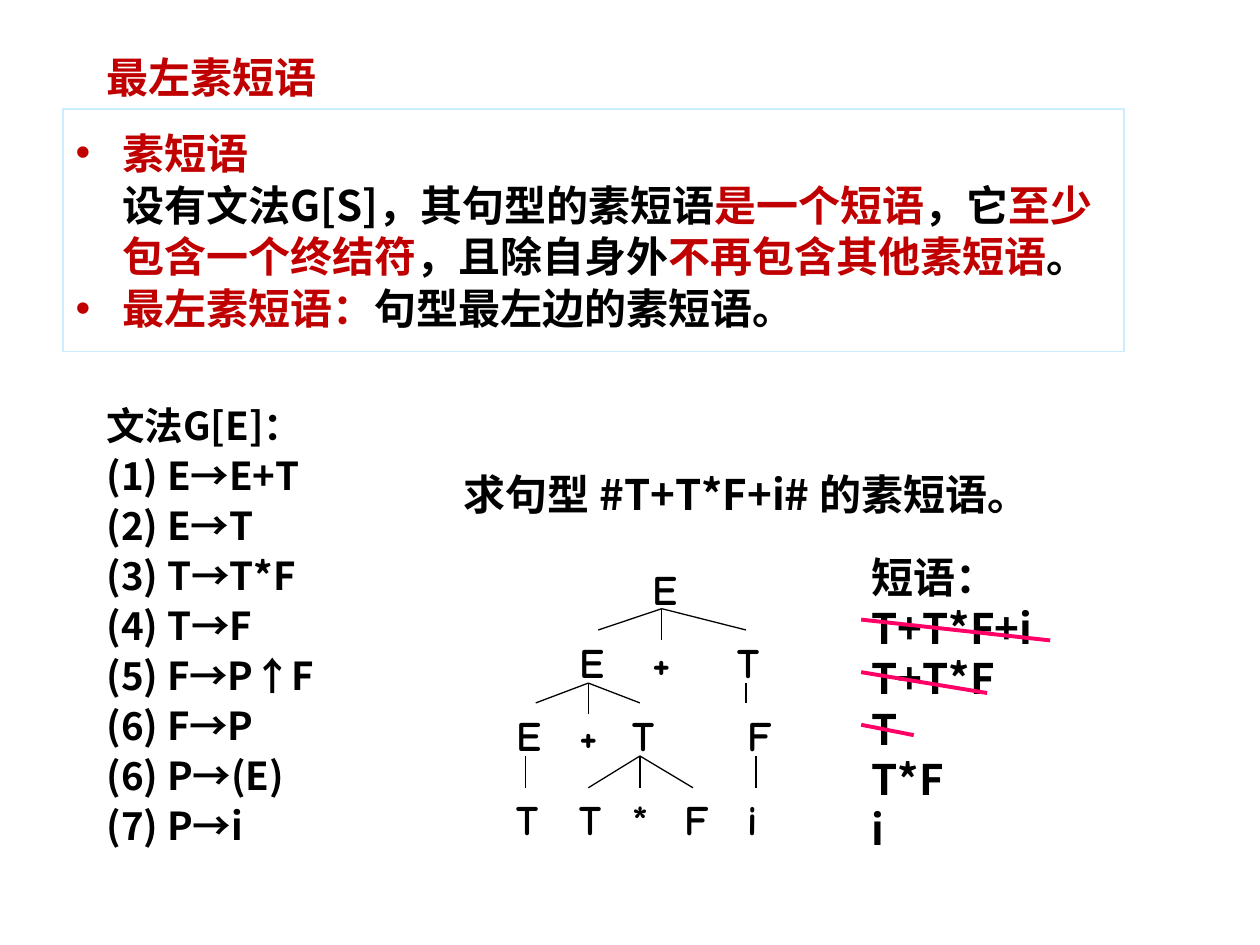
"""Build the slide on leftmost prime phrases."""
from lxml import etree
from pptx import Presentation
from pptx.dml.color import RGBColor
from pptx.enum.shapes import MSO_CONNECTOR
from pptx.enum.text import MSO_ANCHOR, MSO_AUTO_SIZE, PP_ALIGN
from pptx.oxml.ns import qn
from pptx.util import Cm, Pt

LINE = MSO_CONNECTOR.STRAIGHT
TOP, MIDDLE = MSO_ANCHOR.TOP, MSO_ANCHOR.MIDDLE
FIXED, LEFT = MSO_AUTO_SIZE.NONE, PP_ALIGN.LEFT
BLACK = RGBColor(0x00, 0x00, 0x00)
RED = RGBColor(0xC0, 0x00, 0x00)
PINK = RGBColor(0xFF, 0x00, 0x66)
PALE = RGBColor(0xCC, 0xEC, 0xFF)
SANS, SERIF, COMIC = "Noto Sans CJK SC", "Times New Roman", "Comic Neue"


def add_run(par, text, color=BLACK, size=24, face=SANS):
    run = par.add_run()
    run.text = text
    font = run.font
    font.size, font.bold, font.name = Pt(size), True, face
    font.color.rgb = color
    east = etree.SubElement(run._r.get_or_add_rPr(), qn("a:ea"))
    east.set("typeface", SANS)


def add_line(shapes, start, end, color, width):
    line = shapes.add_connector(LINE, *[Cm(n) for n in start + end])
    line.line.color.rgb = color
    line.line.width = Pt(width)
    etree.SubElement(line._element.spPr, qn("a:effectLst"))


deck = Presentation()
deck.slide_width, deck.slide_height = Cm(25.4), Cm(19.05)
slide = deck.slides.add_slide(deck.slide_layouts[1])
shapes = slide.shapes

title = shapes.title
title.left, title.top, title.width, title.height = Cm(1.9), Cm(0.92), Cm(9.31), Cm(1.27)
frame = title.text_frame
frame.auto_size, frame.vertical_anchor = FIXED, TOP
par = frame.paragraphs[0]
par.alignment = LEFT
add_run(par, "最左素短语", RED, face=SERIF)

body = slide.placeholders[1]
body.left, body.top, body.width, body.height = Cm(1.27), Cm(2.2), Cm(21.39), Cm(4.88)
body.line.color.rgb = PALE
body.line.width = Pt(0.75)
frame = body.text_frame
frame.auto_size, frame.vertical_anchor = FIXED, MIDDLE
points = [
    (True, [("素短语", RED)]),
    (False, [
        ("设有文法G[S]，其句型的素短语", BLACK),
        ("是一个短语", RED),
        ("，它", BLACK),
        ("至少包含一个终结符", RED),
        ("，且除自身外", BLACK),
        ("不再包含其他素短语", RED),
        ("。", BLACK),
    ]),
    (True, [("最左素短语：", RED), ("句型最左边的素短语。", BLACK)]),
]
for i, (dot, runs) in enumerate(points):
    par = frame.add_paragraph() if i else frame.paragraphs[0]
    par.space_before, par.line_spacing = Pt(1.2), Pt(28.8)
    props = par._p.get_or_add_pPr()
    props.set("marL", str(Cm(0.95)))
    props.set("indent", str(Cm(-0.95) if dot else 0))
    if not dot:
        etree.SubElement(props, qn("a:buNone"))
    for text, color in runs:
        add_run(par, text, color)

rules = ["文法G[E]：", "(1) E→E+T", "(2) E→T", "(3) T→T*F", "(4) T→F",
         "(5) F→P↑F", "(6) F→P", "(6) P→(E)", "(7) P→i"]
frame = shapes.add_textbox(Cm(1.9), Cm(7.98), Cm(8), Cm(9.37)).text_frame
frame.word_wrap = True
for i, rule in enumerate(rules):
    par = frame.add_paragraph() if i else frame.paragraphs[0]
    par.space_before, par.line_spacing = Pt(2.2), Pt(26.4)
    add_run(par, rule, size=22)

frame = shapes.add_textbox(Cm(9.1), Cm(9.32), Cm(14), Cm(1.27)).text_frame
frame.word_wrap = True
par = frame.paragraphs[0]
par.line_spacing = Pt(28.8)
add_run(par, "求句型 #T+T*F+i# 的素短语。")

tree = shapes.add_group_shape().shapes
levels = [
    (11.23, [("E", 12.9)]),
    (12.7, [("E", 11.43), ("+", 12.9), ("T", 14.61)]),
    (14.17, [("E", 10.16), ("+", 11.43), ("T", 12.5), ("F", 14.81)]),
    (15.88, [("T", 10.16), ("T", 11.43), ("*", 12.5), ("F", 13.54), ("i", 14.81)]),
]
for top, nodes in levels:
    for text, left in nodes:
        frame = tree.add_textbox(Cm(left), Cm(top), Cm(1.06), Cm(1.27)).text_frame
        frame.word_wrap = True
        add_run(frame.paragraphs[0], text, face=COMIC)

fans = [
    ((13.34, 12.27), [(12.06, 12.7), (13.34, 12.9), (15.04, 12.7)]),
    ((11.86, 13.77), [(10.8, 14.17), (11.86, 14.4), (12.9, 14.17)]),
    ((15.04, 13.77), [(15.04, 14.17)]),
    ((10.59, 15.24), [(10.59, 15.88)]),
    ((12.9, 15.24), [(11.86, 15.88), (12.9, 15.88), (13.97, 15.88)]),
    ((15.24, 15.24), [(15.24, 15.88)]),
]
for start, ends in fans:
    for end in ends:
        add_line(tree, start, end, BLACK, 0.75)

frame = shapes.add_textbox(Cm(17.32), Cm(11), Cm(5.33), Cm(6.35)).text_frame
frame.word_wrap = True
par = frame.paragraphs[0]
par.line_spacing = Pt(28.8)
for i, text in enumerate(["短语：", "T+T*F+i", "T+T*F", "T", "T*F", "i"]):
    if i:
        par.add_line_break()
    add_run(par, text)

for top, end in [(12.49, (21.17, 12.91)), (13.55, (19.9, 13.97)), (14.61, (18.42, 14.82))]:
    add_line(shapes, (17.36, top), end, PINK, 2.25)

deck.save("out.pptx")
